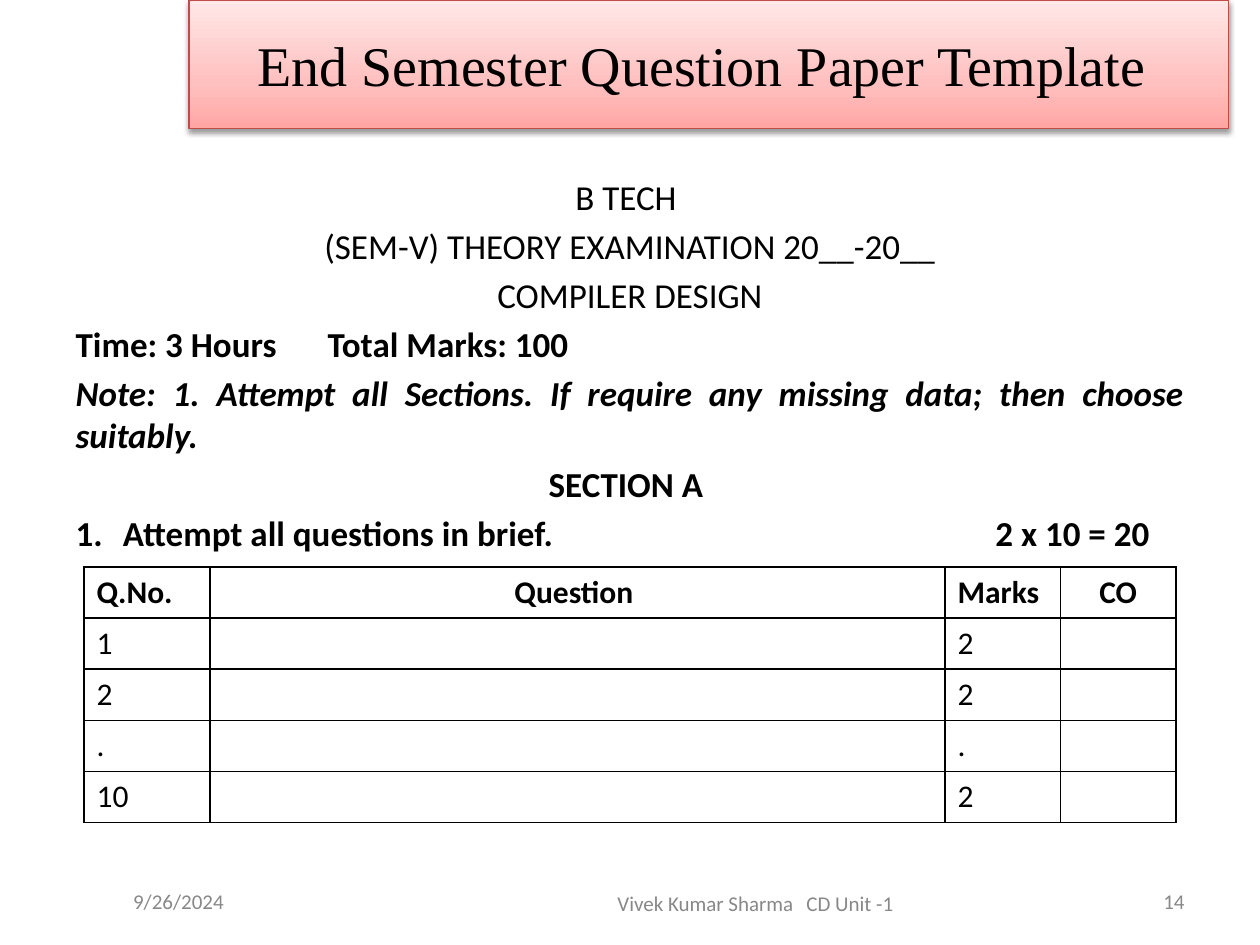
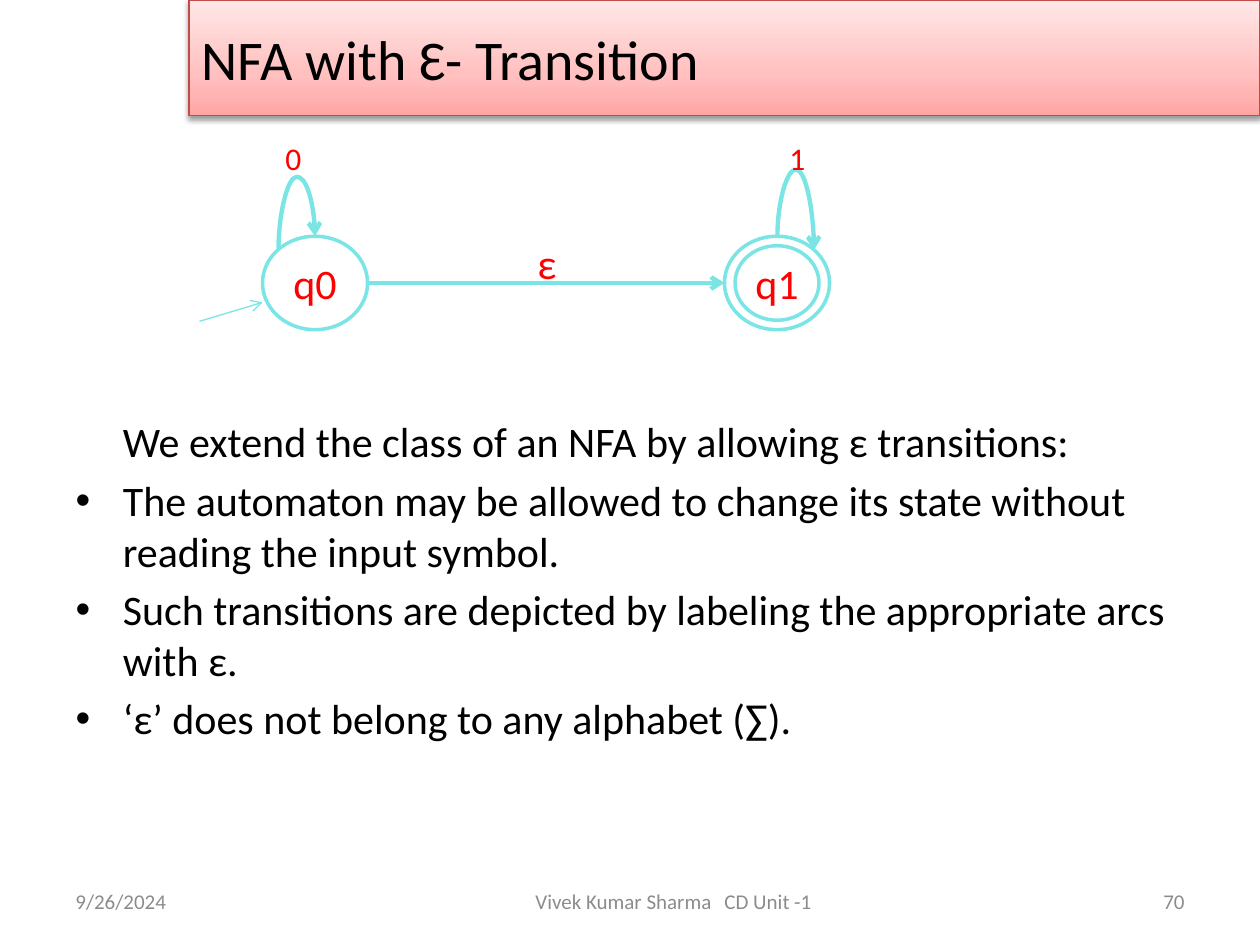
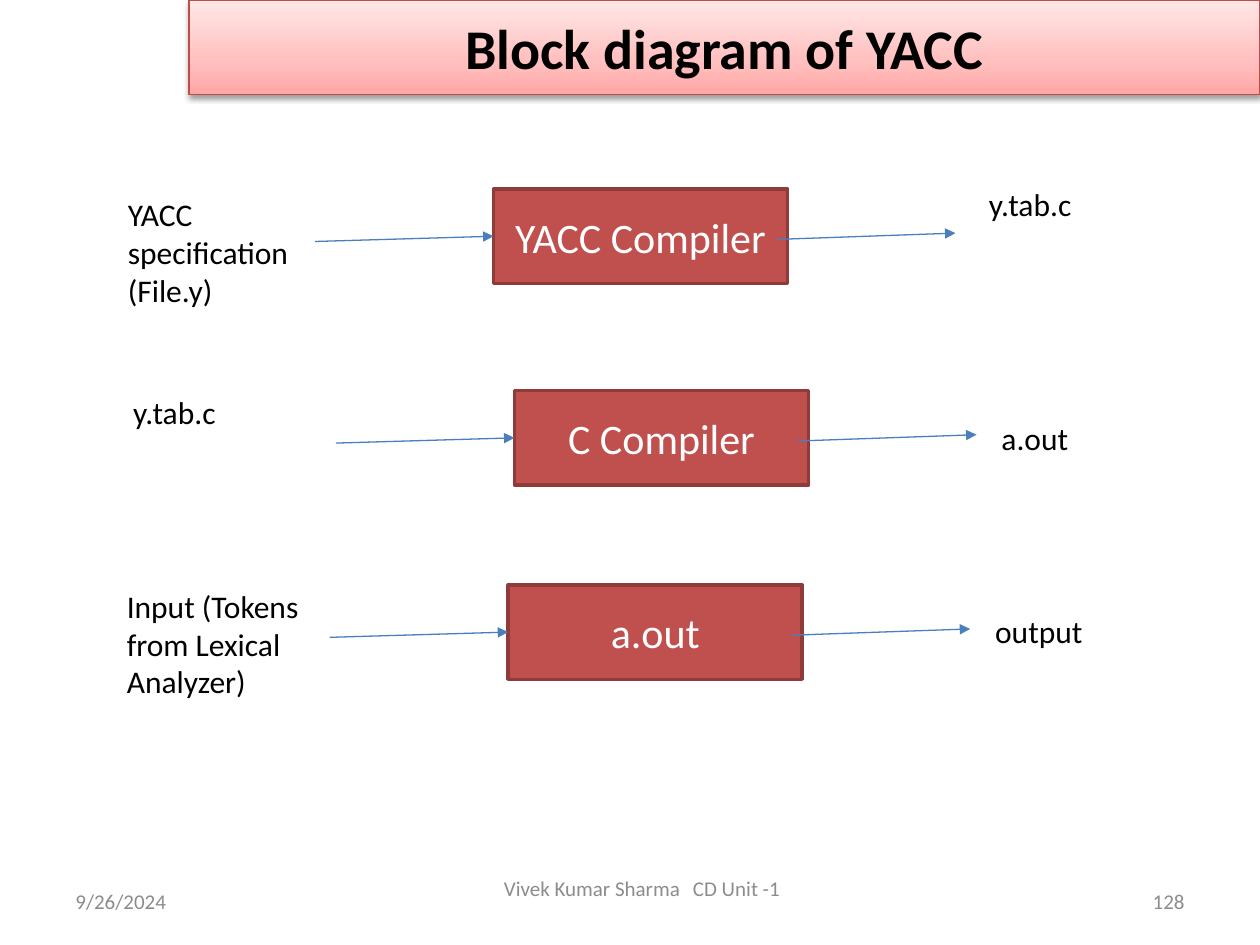
from lxml.etree import SubElement
from pptx import Presentation
from pptx.dml.color import RGBColor
from pptx.enum.shapes import MSO_CONNECTOR as Link, MSO_SHAPE as Kind
from pptx.enum.text import MSO_ANCHOR as Anchor, PP_ALIGN as Align
from pptx.oxml import parse_xml
from pptx.oxml.ns import nsdecls, qn
from pptx.util import Emu, Pt

# The grid has 120 columns and 90 rows of square cells.
CELL = 76200
COLS, ROWS = 120, 90
BLACK, WHITE, RED = "000000", "FFFFFF", "FF0000"
AQUA, BRICK, RUST, BLUE = "7BE5E5", "C0504D", "8E3B39", "4B7EBC"
GREY, DIM = "8C8C8C", "888888"
BAND = [(0, "FFA6A5"), (35, "FFC0BF"), (100, "FFE7E7")]
EDGE = "BF4C48"


def hue(code):
    return RGBColor.from_string(code)


def grid(*cells):
    return [Emu(round(n * CELL)) for n in cells]


def place(shape, box):
    shape.left, shape.top, shape.width, shape.height = grid(*box)


def style(para, size, color=BLACK, bold=False, italic=False, face="Calibri"):
    font = para.font
    font.name, font.size, font.bold, font.italic = face, Pt(size), bold, italic
    font.color.rgb = hue(color)


def tabs(para, *stops):
    """Add tab stops, each a pair of column and alignment."""
    stop_list = SubElement(para._p.get_or_add_pPr(), qn("a:tabLst"))
    for col, side in stops:
        SubElement(stop_list, qn("a:tab"), pos=str(grid(col)[0]), algn=side)


def indent(para, left, hang, mark=None):
    """Set the indent in columns; mark names a bullet element, if any."""
    props = para._p.get_or_add_pPr()
    props.set("marL", str(grid(left)[0]))
    props.set("indent", str(grid(hang)[0]))
    if mark:
        return SubElement(props, qn(mark))


def fill_text(frame, text, size, color=BLACK, align=Align.LEFT, **look):
    frame.word_wrap = True
    frame.text = text
    for para in frame.paragraphs:
        para.alignment = align
        style(para, size, color, **look)


def label(slide, box, text, size=18, color=BLACK, align=Align.LEFT,
          anchor=Anchor.TOP):
    frame = slide.shapes.add_textbox(*grid(*box)).text_frame
    frame.vertical_anchor = anchor
    fill_text(frame, text, size, color, align)
    return frame


def title(slide, box, text, align=Align.CENTER, **look):
    head = slide.shapes.title
    place(head, box)
    stops = "".join(f'<a:gs pos="{at * 1000}"><a:srgbClr val="{code}"/></a:gs>'
                    for at, code in BAND)
    props = head._element.spPr
    props.append(parse_xml(
        f'<a:gradFill {nsdecls("a")} rotWithShape="1"><a:gsLst>{stops}</a:gsLst>'
        '<a:lin ang="16200000" scaled="0"/></a:gradFill>'))
    head.line.color.rgb = hue(EDGE)
    head.line.width = Pt(0.75)
    props.append(parse_xml(
        f'<a:effectLst {nsdecls("a")}><a:outerShdw blurRad="40000" dist="20000" '
        'dir="5400000" rotWithShape="0"><a:srgbClr val="000000">'
        '<a:alpha val="38000"/></a:srgbClr></a:outerShdw></a:effectLst>'))
    head.text_frame.vertical_anchor = Anchor.MIDDLE
    fill_text(head.text_frame, text, 32, align=align, **look)


def footer(slide, page, box, inset, color=GREY, date=(6, 83.4, 28, 4.8),
           side=Align.LEFT):
    """Write date, author line (in its box, after an inset) and page number."""
    label(slide, date, "9/26/2024", 12, color, side, Anchor.MIDDLE)
    frame = slide.shapes.add_textbox(*grid(*box)).text_frame
    frame.margin_left = grid(inset)[0]
    frame.vertical_anchor = Anchor.MIDDLE
    tabs(frame.paragraphs[0], (21.7, "l"))
    fill_text(frame, "Vivek Kumar Sharma\tCD Unit -1", 12, color)
    label(slide, (86, 83.4, 28, 4.8), page, 12, color, Align.RIGHT, Anchor.MIDDLE)


def body(slide, box, lines):
    """Fill the body placeholder and yield its paragraphs to be formatted."""
    holder = slide.placeholders[1]
    place(holder, box)
    holder.text_frame.text = "\n".join(lines)
    paras = holder.text_frame.paragraphs
    paras[0].space_before = Pt(0)
    return paras


def finish(link, color, width, head):
    link.line.color.rgb = hue(color)
    link.line.width = Pt(width)
    props = link._element.spPr
    SubElement(props.find(qn("a:ln")), qn("a:tailEnd"), type=head)
    SubElement(props, qn("a:effectLst"))


def arrow(slide, start, end, color, width, head):
    link = slide.shapes.add_connector(Link.STRAIGHT, *grid(*start, *end))
    finish(link, color, width, head)
    return link


def node(slide, kind, box, text, ink, line, back=None):
    shape = slide.shapes.add_shape(kind, *grid(*box))
    shape.shadow.inherit = False
    if back:
        shape.fill.solid()
        shape.fill.fore_color.rgb = hue(back)
    else:
        shape.fill.background()
    shape.line.color.rgb = hue(line)
    shape.line.width = Pt(2)
    if text:
        shape.text_frame.vertical_anchor = Anchor.MIDDLE
        fill_text(shape.text_frame, text, 24, ink, Align.CENTER)
    return shape


def loop(slide, mid, turn, bend, flip):
    """Draw a curved arrow around its middle, turned by degrees."""
    x, y = mid
    wide, high = 0.66, 1.74
    top, low = (y + high, y - high) if flip else (y - high, y + high)
    link = slide.shapes.add_connector(
        Link.CURVE, *grid(x + wide, top, x - wide, low))
    props = link._element.spPr
    props.find(qn("a:xfrm")).set("rot", str(turn * 60000))
    shape = props.find(qn("a:prstGeom"))
    guides = shape.find(qn("a:avLst"))
    if guides is None:
        guides = SubElement(shape, qn("a:avLst"))
    SubElement(guides, qn("a:gd"), name="adj1", fmla=f"val {bend}")
    finish(link, AQUA, 2.5, "arrow")


def marks(slide, box):
    x, y, wide, high = box
    rows = [("Q.No.", "Question ", "Marks", "CO"),
            ("1", "", "2", ""), ("2", "", "2", ""),
            (".", "", ".", ""), ("10", "", "2", "")]
    shares = (12, 70, 11, 11)
    table = slide.shapes.add_table(len(rows), len(shares), *grid(*box)).table
    table.first_row = table.horz_banding = False
    for col, share in zip(table.columns, shares):
        col.width = grid(wide * share / sum(shares))[0]
    for r, row in enumerate(rows):
        for c, text in enumerate(row):
            cell = table.cell(r, c)
            align = Align.CENTER if c % 2 else Align.LEFT
            fill_text(cell.text_frame, text, 18, align=align, bold=r == 0)
            props = cell._tc.get_or_add_tcPr()
            for side in ("lnL", "lnR", "lnT", "lnB"):
                props.append(parse_xml(
                    f'<a:{side} {nsdecls("a")} w="12700"><a:solidFill>'
                    f'<a:srgbClr val="{BLACK}"/></a:solidFill></a:{side}>'))
            cell.fill.solid()
            cell.fill.fore_color.rgb = hue(WHITE)


def exam(deck):
    slide = deck.slides.add_slide(deck.slide_layouts[1])
    title(slide, (18, 0, 99, 12.24), "End Semester Question Paper Template ",
          face="Times New Roman")
    mid, left, just = Align.CENTER, Align.LEFT, Align.JUSTIFY
    lines = [
        ("B TECH ", mid, False, False),
        ("(SEM-V) THEORY EXAMINATION 20__-20__", mid, False, False),
        ("COMPILER DESIGN", mid, False, False),
        ("Time: 3 Hours\tTotal Marks: 100", left, True, False),
        ("Note: 1. Attempt all Sections. If require any missing data; "
         "then choose suitably.", just, True, True),
        ("SECTION A ", mid, True, False),
        ("Attempt all questions in brief.\t2 x 10 = 20", left, True, False)]
    paras = body(slide, (6, 16.1, 108, 62.4), [line[0] for line in lines])
    for para, (text, align, bold, italic) in zip(paras, lines):
        para.alignment = align
        if para is paras[-1]:
            indent(para, 4.5, -4.5, "a:buAutoNum").set("type", "arabicPeriod")
            tabs(para, (87.6, "l"))
        else:
            indent(para, 0, 0, "a:buNone")
            if "\t" in text:
                tabs(para, (105.4, "r"))
        style(para, 20, bold=bold, italic=italic)
    marks(slide, (8, 54, 104, 24.3))
    footer(slide, "14", (30.8, 83.8, 59.2, 4.4), 28, DIM,
           (8, 83.4, 18, 4.8), Align.CENTER)


def states(slide, box):
    """Draw the automaton with its two states in the box."""
    x, y, wide, high = box
    size = (10, 8.9)
    last = x + wide - size[0]
    mid = y + high / 2
    for left, name in ((x, "q0"), (last, "q1")):
        node(slide, Kind.OVAL, (left, y, *size), name, RED, AQUA)
    node(slide, Kind.OVAL, (last + 1, y + 0.9, 8, 7.1), "", RED, AQUA)
    arrow(slide, (x - 6, y + 8.1), (x, y + 6.3), AQUA, 0.75, "arrow")
    arrow(slide, (x + size[0], mid), (last, mid), AQUA, 2.5, "arrow")
    loop(slide, (x + 3.26, y + 0.66), 90, 529500, True)
    loop(slide, (last + 6.78, y + 0.66), 270, -482400, False)
    for left, text in ((x + 1, "0"), (last + 5, "1")):
        label(slide, (left, y - 9.8, 7, 4.3), text, 18, RED)
    label(slide, (x + 25, y - 0.5, 7, 6), "ε", 24, RED)


def epsilon(deck):
    slide = deck.slides.add_slide(deck.slide_layouts[1])
    title(slide, (18, 0, 102, 11), "NFA with Ɛ- Transition", Align.LEFT)
    paras = body(slide, (6, 39, 108, 40), [
        "We extend the class of an NFA by allowing ε transitions:",
        "The automaton may be allowed to change its state without reading "
        "the input symbol.",
        "Such transitions are depicted by labeling the appropriate arcs with ε.",
        "‘ε’ does not belong to any alphabet (∑)."])
    indent(paras[0], 4.5, 0, "a:buNone")
    for para in paras:
        style(para, 24)
    states(slide, (25, 22.5, 54, 8.9))
    footer(slide, "70", (33, 83.4, 66, 4.8), 18)


def stage(slide, spot, name, source, result):
    """Draw one stage; source and result are text, offset and size."""
    x, y = spot
    block = node(slide, Kind.RECTANGLE, (x, y, 28, 9), name, WHITE, RUST, BRICK)
    feed = arrow(slide, (x - 17, y + 5), (x, y + 4.5), BLUE, 0.75, "triangle")
    feed.end_connect(block, 1)
    arrow(slide, (x + 27, y + 4.8), (x + 44, y + 4.2), BLUE, 0.75, "triangle")
    for text, (dx, dy), size in (source, result):
        label(slide, (x + dx, y + dy, *size), text)


def yacc(deck):
    slide = deck.slides.add_slide(deck.slide_layouts[5])
    title(slide, (18, 0, 102, 9), "Block diagram of YACC", bold=True)
    tall, short, long = (19, 12.1), (19, 4.8), (23.8, 4.8)
    stage(slide, (47, 18), "YACC Compiler",
          ("YACC specification\n(File.y)", (-36, 0), tall),
          ("y.tab.c", (46, -1), (18, 4.8)))
    stage(slide, (49, 37.2), "C Compiler",
          ("y.tab.c", (-37.5, -0.4), short), ("a.out", (45.2, 2.1), long))
    stage(slide, (48.4, 55.7), "a.out",
          ("Input (Tokens from Lexical Analyzer)", (-37.5, -0.4), tall),
          ("output", (45.2, 2), long))
    footer(slide, "128", (30, 82.2, 66, 4.8), 18)


def main():
    deck = Presentation()
    deck.slide_width, deck.slide_height = grid(COLS, ROWS)
    for build in (exam, epsilon, yacc):
        build(deck)
    deck.save("out.pptx")


if __name__ == "__main__":
    main()
